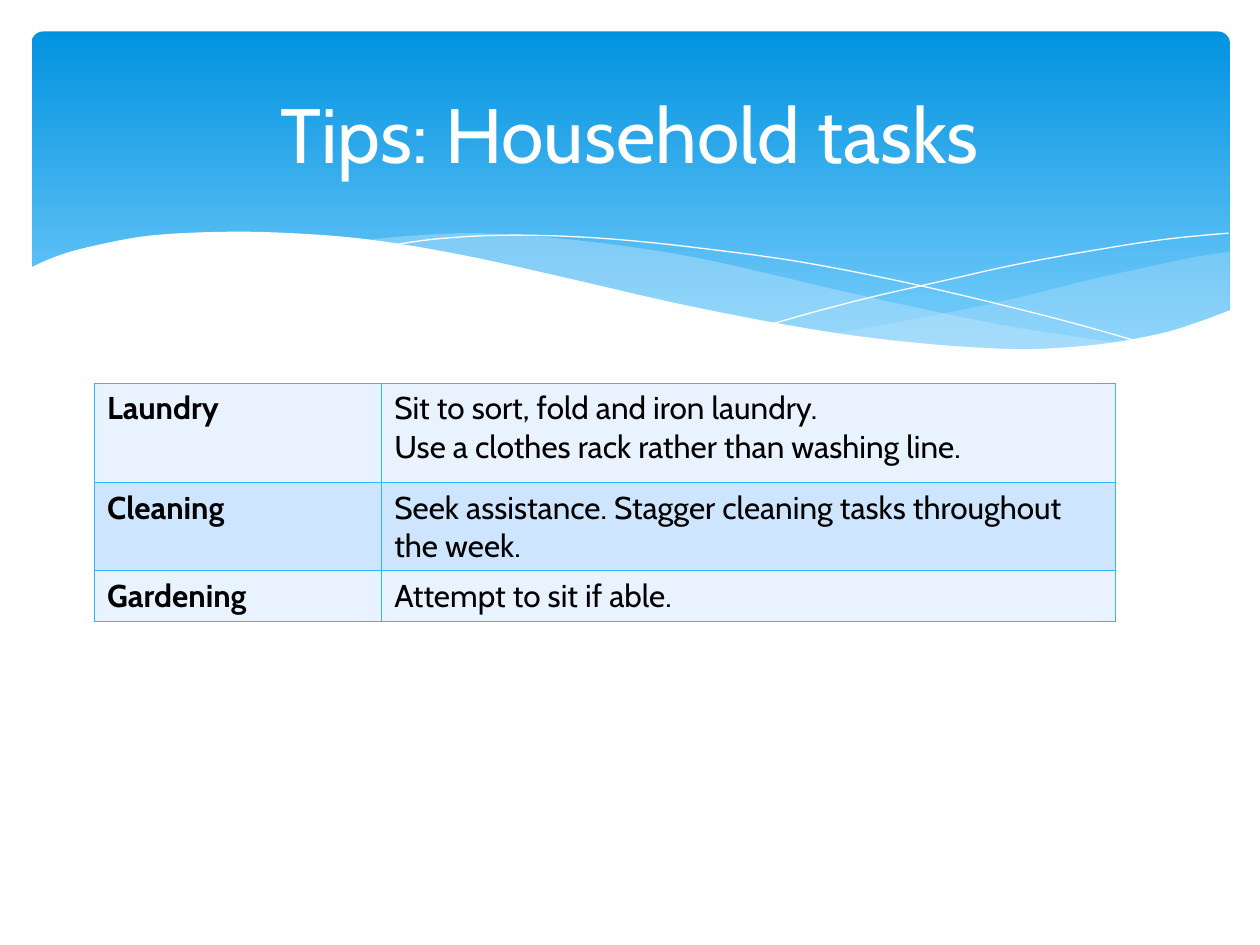
"""Slide with household task tips under a wavy blue banner."""
from lxml.etree import SubElement
from pptx import Presentation
from pptx.dml.color import RGBColor
from pptx.enum.shapes import MSO_SHAPE
from pptx.enum.text import MSO_ANCHOR, PP_ALIGN
from pptx.oxml import parse_xml
from pptx.oxml.ns import nsdecls, qn
from pptx.util import Inches, Pt

COLORS = {
    "white": "FFFFFF", "black": "000000", "banner_top": "0293E0",
    "banner_bottom": "83D3FE", "band": "C6E7FC", "border": "31B6FD",
    "row_light": "E8F3FF", "row_dark": "CDE5FE",
}
FONT = "Cabin"
STEPS = 5


def smooth(knots):
    padded = [knots[0], *knots, knots[-1]]
    points = [knots[0]]
    for a, b, c, d in zip(padded, padded[1:], padded[2:], padded[3:]):
        for step in range(1, STEPS + 1):
            t = step / STEPS
            points.append(tuple(
                q + t * ((r - p) + t * ((2 * p - 5 * q + 4 * r - s)
                         + t * (3 * q - p - 3 * r + s))) / 2
                for p, q, r, s in zip(a, b, c, d)))
    return points


def write(paragraph, text, size, color, bold=False):
    run = paragraph.add_run()
    run.text = text
    run.font.name = FONT
    run.font.size = Pt(size)
    run.font.bold = bold
    run.font.color.rgb = RGBColor.from_string(COLORS[color])


prs = Presentation()
prs.slide_width, prs.slide_height = Inches(10), Inches(7.5)
slide = prs.slides.add_slide(prs.slide_layouts[6])
shapes = slide.shapes

banner = shapes.add_shape(MSO_SHAPE.ROUNDED_RECTANGLE, Inches(0.25), Inches(0.25),
                          Inches(9.51), Inches(2.7))
banner.adjustments[0] = 0.034
banner.shadow.inherit = False
banner.line.fill.background()
banner.fill.gradient()
banner.fill.gradient_angle = 270
for stop, color in zip(banner.fill.gradient_stops, ("banner_top", "banner_bottom")):
    stop.color.rgb = RGBColor.from_string(COLORS[color])

right_band = smooth([(6.61, 2.65), (7.06, 2.57), (7.53, 2.48), (8.05, 2.37), (8.61, 2.23),
                     (9.06, 2.13), (9.48, 2.04), (9.76, 2)])
right_band += smooth([(9.76, 2.47), (9.49, 2.57), (9.13, 2.67), (8.72, 2.74), (8.14, 2.78),
                      (7.57, 2.76), (7.05, 2.71), (6.61, 2.65)])
long_band = smooth([(2.86, 1.91), (3.28, 1.87), (3.8, 1.85), (4.41, 1.89), (5.01, 1.96),
                    (5.55, 2.05), (6.13, 2.18), (6.68, 2.31), (7.41, 2.47), (8.07, 2.6),
                    (8.93, 2.73)])
long_band += smooth([(8.93, 2.73), (8.57, 2.77), (8.07, 2.79), (7.48, 2.76), (6.8, 2.68),
                     (6.18, 2.58), (5.3, 2.4), (4.49, 2.22), (3.83, 2.07), (3.42, 1.99),
                     (2.86, 1.91)])
falling_line = smooth([(3.09, 1.95), (3.43, 1.9), (3.87, 1.87), (4.33, 1.87), (4.89, 1.9),
                       (5.56, 1.97), (6.36, 2.08), (7.27, 2.26), (8.31, 2.51), (9.07, 2.72)])
rising_line = smooth([(6.13, 2.57), (6.52, 2.46), (6.95, 2.35), (7.48, 2.23), (8.06, 2.1),
                      (8.66, 1.99), (9.24, 1.9), (9.75, 1.85)])
wave = smooth([(0.23, 2.13), (0.46, 2.03), (0.75, 1.95), (1.19, 1.87), (1.76, 1.84),
               (2.3, 1.85), (2.92, 1.9), (3.65, 2.02), (4.47, 2.2), (5.29, 2.39),
               (6.03, 2.54), (6.68, 2.65), (7.26, 2.72), (7.78, 2.76), (8.23, 2.77),
               (8.75, 2.73), (9.2, 2.65), (9.5, 2.56), (9.77, 2.46)])
wave += [(9.77, 3.29), (0.23, 3.29)]

for points, color, opacity in (
    (right_band, "band", 29), (long_band, "band", 40), (falling_line, None, 0),
    (rising_line, None, 0), (wave, "white", 100),
):
    outline = [(Inches(x), Inches(y)) for x, y in points]
    builder = shapes.build_freeform(*outline[0])
    builder.add_line_segments(outline[1:], close=color is not None)
    curve = builder.convert_to_shape()
    curve.shadow.inherit = False
    if color:
        curve.line.fill.background()
        curve.fill.solid()
        curve.fill.fore_color.rgb = RGBColor.from_string(COLORS[color])
        if opacity < 100:
            tint = curve.fill._xPr.find(qn("a:solidFill"))[0]
            SubElement(tint, qn("a:alpha"), val=str(opacity * 1000))
    else:
        curve.fill.background()
        curve.line.color.rgb = RGBColor.from_string(COLORS["white"])
        curve.line.width = Pt(0)

title = shapes.add_textbox(Inches(0.5), Inches(0.37), Inches(9), Inches(1.37)).text_frame
title.word_wrap = True
title.vertical_anchor = MSO_ANCHOR.MIDDLE
title.paragraphs[0].alignment = PP_ALIGN.CENTER
write(title.paragraphs[0], "Tips: Household tasks", 44, "white")

tips = [
    ("Laundry", ["Sit to sort, fold and iron laundry.",
                 "Use a clothes rack rather than washing line."]),
    ("Cleaning", ["Seek assistance. Stagger cleaning tasks throughout the week."]),
    ("Gardening", ["Attempt to sit if able."]),
]
table = shapes.add_table(len(tips), 2, Inches(0.75), Inches(3.04),
                         Inches(8.1), Inches(1.89)).table
table.first_row = table.horz_banding = False
for column, width in zip(table.columns, (2.28, 5.82)):
    column.width = Inches(width)
for row, height in zip(table.rows, (0.79, 0.7, 0.4)):
    row.height = Inches(height)

for row_index, (task, advice) in enumerate(tips):
    for column_index, lines in enumerate(([task], advice)):
        cell = table.cell(row_index, column_index)
        properties = cell._tc.get_or_add_tcPr()
        for side in ("lnL", "lnR", "lnT", "lnB"):
            properties.append(parse_xml(
                f'<a:{side} {nsdecls("a")} w="{Pt(0.45)}"><a:solidFill>'
                f'<a:srgbClr val="{COLORS["border"]}"/></a:solidFill></a:{side}>'))
        cell.fill.solid()
        cell.fill.fore_color.rgb = RGBColor.from_string(
            COLORS["row_dark" if row_index % 2 else "row_light"])
        for line_index, line in enumerate(lines):
            frame = cell.text_frame
            paragraph = frame.add_paragraph() if line_index else frame.paragraphs[0]
            write(paragraph, line, 18, "black", bold=column_index == 0)

prs.save("out.pptx")
